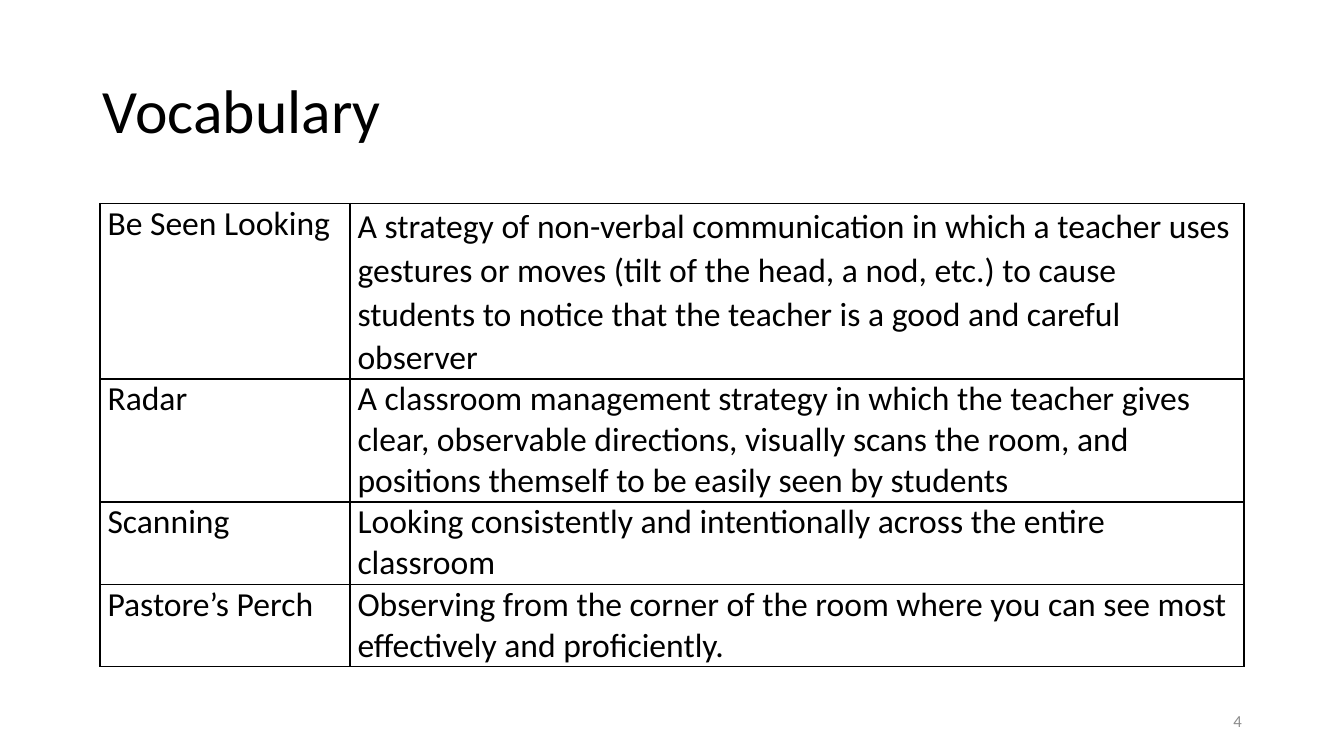
from dataclasses import dataclass

from lxml import etree
from pptx import Presentation
from pptx import util as u
from pptx.dml.color import RGBColor
from pptx.enum import text
from pptx.oxml import ns
from pptx.slide import Slide
from pptx.table import _Cell
from pptx.text.text import TextFrame


@dataclass(frozen=True)
class Theme:
    font: str = "Calibri"
    ink: str = "000000"
    muted: str = "8C8C8C"
    title_size: int = 44
    body_size: int = 24
    number_size: int = 12
    border_width: int = 1


@dataclass(frozen=True)
class Entry:
    term: str
    meaning: str
    height: float
    line_spacing: float = 1.0


THEME = Theme()
COLUMN_WIDTHS = (6.3, 22.53)
ENTRIES = (
    Entry(
        "Be Seen Looking",
        "A strategy of non-verbal communication in which a teacher uses gestures "
        "or moves (tilt of the head, a nod, etc.) to cause students to notice "
        "that the teacher is a good and careful observer",
        4.42,
        1.07,
    ),
    Entry(
        "Radar",
        "A classroom management strategy in which the teacher gives clear, "
        "observable directions, visually scans the room, and positions themself "
        "to be easily seen by students",
        3.1,
    ),
    Entry(
        "Scanning",
        "Looking consistently and intentionally across the entire classroom",
        2.07,
    ),
    Entry(
        "Pastore’s Perch",
        "Observing from the corner of the room where you can see most "
        "effectively and proficiently.",
        2.07,
    ),
)


def write(
    frame: TextFrame,
    wording: str,
    size: int,
    color: str = THEME.ink,
    line_spacing: float = 1.0,
    align: text.PP_ALIGN = text.PP_ALIGN.LEFT,
) -> None:
    frame.text = wording
    para = frame.paragraphs[0]
    para.alignment = align
    para.line_spacing = line_spacing
    para.font.name = THEME.font
    para.font.size = u.Pt(size)
    para.font.color.rgb = RGBColor.from_string(color)


def add_borders(cell: _Cell) -> None:
    properties = cell._tc.get_or_add_tcPr()
    for index, side in enumerate(("lnL", "lnR", "lnT", "lnB")):
        border = etree.Element(ns.qn(f"a:{side}"), w=str(u.Pt(THEME.border_width)))
        fill = etree.SubElement(border, ns.qn("a:solidFill"))
        etree.SubElement(fill, ns.qn("a:srgbClr"), val=THEME.ink)
        properties.insert(index, border)


def fill_cell(cell: _Cell, wording: str, line_spacing: float = 1.0) -> None:
    cell.margin_left = cell.margin_right = u.Cm(0.19)
    cell.margin_top = cell.margin_bottom = 0
    cell.fill.background()
    add_borders(cell)
    write(cell.text_frame, wording, THEME.body_size, line_spacing=line_spacing)


def add_title(page: Slide, wording: str) -> None:
    title = page.shapes.title
    title.left, title.top = u.Cm(2.34), u.Cm(1.02)
    title.width, title.height = u.Cm(29.21), u.Cm(3.68)
    title.text_frame.vertical_anchor = text.MSO_ANCHOR.MIDDLE
    write(title.text_frame, wording, THEME.title_size, line_spacing=0.9)


def add_vocabulary(page: Slide) -> None:
    table = page.shapes.add_table(
        len(ENTRIES),
        len(COLUMN_WIDTHS),
        u.Cm(2.52),
        u.Cm(5.13),
        u.Cm(sum(COLUMN_WIDTHS)),
        u.Cm(sum(entry.height for entry in ENTRIES)),
    ).table
    table.first_row = table.horz_banding = False
    for column, width in zip(table.columns, COLUMN_WIDTHS):
        column.width = u.Cm(width)
    for row, entry in zip(table.rows, ENTRIES):
        row.height = u.Cm(entry.height)
        fill_cell(row.cells[0], entry.term)
        fill_cell(row.cells[1], entry.meaning, entry.line_spacing)


def add_page_number(page: Slide, number: str) -> None:
    box = page.shapes.add_textbox(u.Cm(23.93), u.Cm(17.65), u.Cm(7.62), u.Cm(1.02))
    box.text_frame.word_wrap = True
    box.text_frame.vertical_anchor = text.MSO_ANCHOR.MIDDLE
    write(
        box.text_frame,
        number,
        THEME.number_size,
        THEME.muted,
        align=text.PP_ALIGN.RIGHT,
    )


def main() -> None:
    deck = Presentation()
    deck.slide_width, deck.slide_height = u.Cm(33.87), u.Cm(19.05)
    page = deck.slides.add_slide(deck.slide_layouts.get_by_name("Title Only"))
    add_title(page, "Vocabulary")
    add_vocabulary(page)
    add_page_number(page, "4")
    deck.save("out.pptx")


if __name__ == "__main__":
    main()
